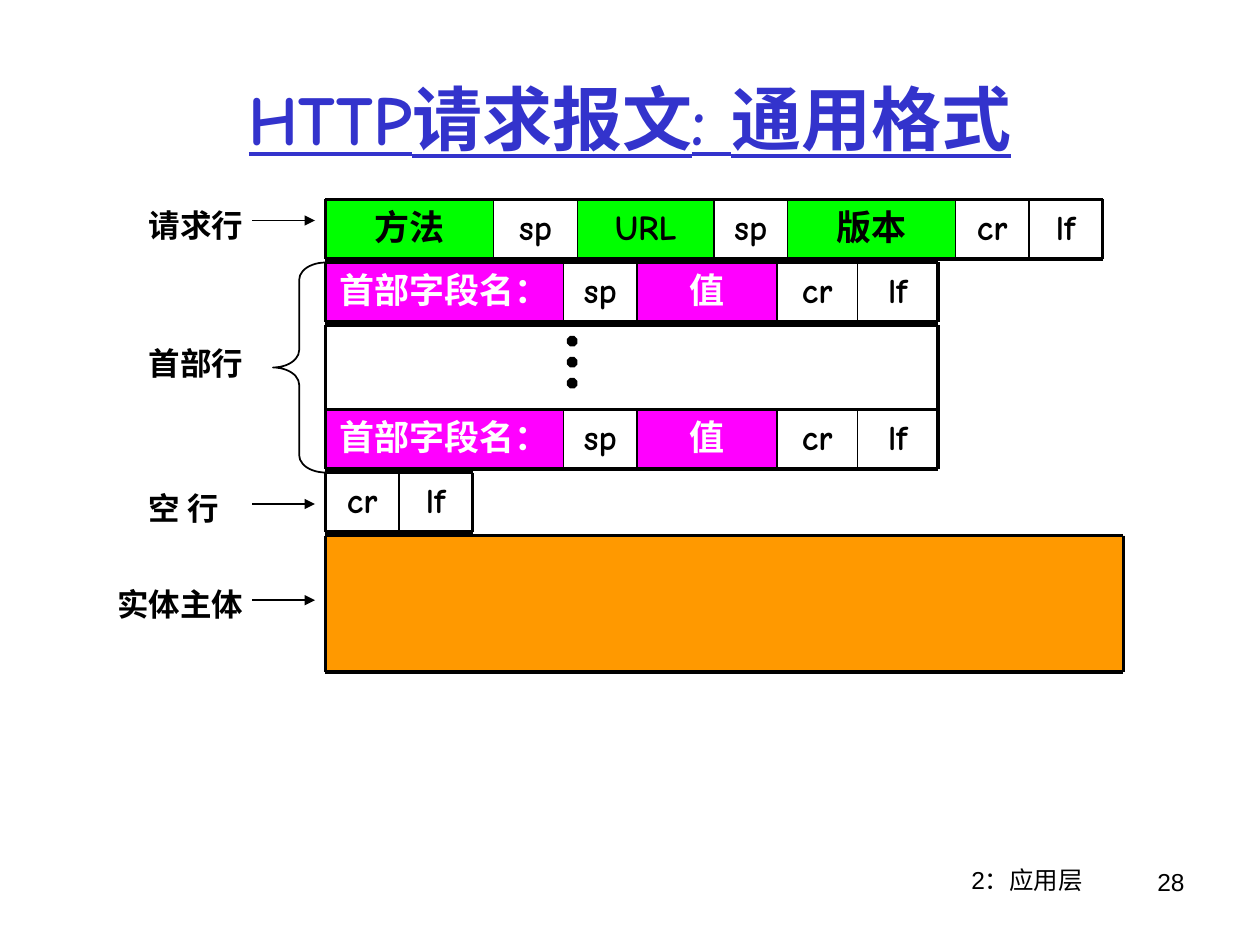
from dataclasses import dataclass
from itertools import accumulate

from lxml import etree
from pptx import Presentation
from pptx.dml.color import RGBColor
from pptx.enum.shapes import MSO_CONNECTOR, MSO_SHAPE
from pptx.enum.text import MSO_ANCHOR, PP_ALIGN
from pptx.oxml.ns import qn
from pptx.util import Pt

STRAIGHT = MSO_CONNECTOR.STRAIGHT
RECTANGLE, OCTAGON, LEFT_BRACE = MSO_SHAPE.RECTANGLE, MSO_SHAPE.OCTAGON, MSO_SHAPE.LEFT_BRACE
LEFT, CENTER, RIGHT = PP_ALIGN.LEFT, PP_ALIGN.CENTER, PP_ALIGN.RIGHT
TOP, MIDDLE = MSO_ANCHOR.TOP, MSO_ANCHOR.MIDDLE


@dataclass(frozen=True)
class Theme:
    heading: RGBColor = RGBColor(0x33, 0x33, 0xCC)
    black: RGBColor = RGBColor(0, 0, 0)
    white: RGBColor = RGBColor(255, 255, 255)
    green: RGBColor = RGBColor(0, 255, 0)
    magenta: RGBColor = RGBColor(255, 0, 255)
    orange: RGBColor = RGBColor(255, 0x99, 0)
    display_font: str = "Comic Neue"
    footer_font: str = "Arial"
    title_size: int = 40
    cell_size: int = 20
    label_size: int = 18
    footer_size: int = 14
    border: int = 2
    divider: int = 1


THEME = Theme()
TITLE = dict(name=THEME.display_font, size=Pt(THEME.title_size), bold=True, underline=True)
CELL = dict(name=THEME.display_font, size=Pt(THEME.cell_size), bold=True)
LABEL = dict(name=THEME.display_font, size=Pt(THEME.label_size), bold=True)
FOOTER = dict(name=THEME.footer_font, size=Pt(THEME.footer_size))

MESSAGE_LEFT, MESSAGE_TOP = 186, 114
ROW_HEIGHT, ROW_PITCH = 34, 36
LABEL_RIGHT, LABEL_HEIGHT = 150, 29

# Each cell: width, text, fill, text colour
CR_LF = [(42, "cr", THEME.white, THEME.black), (42, "lf", THEME.white, THEME.black)]
REQUEST_LINE = [
    (96, "方法", THEME.green, THEME.black),
    (48, "sp", THEME.white, THEME.black),
    (78, "URL", THEME.green, THEME.black),
    (42, "sp", THEME.white, THEME.black),
    (96, "版本", THEME.green, THEME.black),
    *CR_LF,
]
HEADER_LINE = [
    (136, "首部字段名：", THEME.magenta, THEME.white),
    (42, "sp", THEME.white, THEME.black),
    (80, "值", THEME.magenta, THEME.white),
    (46, "cr", THEME.white, THEME.black),
    (46, "lf", THEME.white, THEME.black),
]
MORE_HEADERS = [(350, "", THEME.white, THEME.black)]
ENTITY_BODY = [(456, "", THEME.orange, THEME.black)]

# Each label: text, width, top, whether an arrow follows
LABELS = [
    ("请求行", 72, 114, True),
    ("首部行", 72, 193, False),
    ("空 行", 72, 276, True),
    ("实体主体", 90, 331, True),
]


def points(*values):
    return [Pt(value) for value in values]


def write(shape, text, font, color, align, anchor=TOP):
    frame = shape.text_frame
    frame.word_wrap = True
    frame.vertical_anchor = anchor
    paragraph = frame.paragraphs[0]
    paragraph.alignment = align
    run = paragraph.add_run()
    run.text = text
    for name, value in font.items():
        setattr(run.font, name, value)
    run.font.color.rgb = color


def add_filled(shapes, kind, box, fill):
    shape = shapes.add_shape(kind, *points(*box))
    shape.shadow.inherit = False
    shape.fill.solid()
    shape.fill.fore_color.rgb = fill
    shape.line.fill.background()
    return shape


def add_line(shapes, start, end, width, arrow=False):
    connector = shapes.add_connector(STRAIGHT, *points(*start, *end))
    connector.line.color.rgb = THEME.black
    connector.line.width = Pt(width)
    if arrow:
        etree.SubElement(connector.line._get_or_add_ln(), qn("a:tailEnd"), type="triangle")
    etree.SubElement(connector._element.spPr, qn("a:effectLst"))


def add_row(slide, left, top, height, cells):
    """Draw filled cells side by side, with thin dividers and a thick border."""
    shapes = slide.shapes.add_group_shape().shapes
    edges = list(accumulate((cell[0] for cell in cells), initial=left))
    for edge, (width, text, fill, color) in zip(edges, cells):
        shape = add_filled(shapes, RECTANGLE, (edge, top, width, height), fill)
        if text:
            write(shape, text, CELL, color, CENTER)
    right, bottom = edges[-1], top + height
    for edge in edges:
        width = THEME.border if edge in (left, right) else THEME.divider
        add_line(shapes, (edge, top), (edge, bottom), width)
    for y in (top, bottom):
        add_line(shapes, (left, y), (right, y), THEME.border)


def add_message(slide, left, top):
    rows = [
        (0, ROW_HEIGHT, REQUEST_LINE),
        (ROW_PITCH, ROW_HEIGHT, HEADER_LINE),
        (2 * ROW_PITCH, 48, MORE_HEADERS),
        (120, ROW_HEIGHT, HEADER_LINE),
        (120 + ROW_PITCH, ROW_HEIGHT, CR_LF),
        (120 + 2 * ROW_PITCH, 78, ENTITY_BODY),
    ]
    for offset, height, cells in rows:
        add_row(slide, left, top + offset, height, cells)
    for index in range(3):
        dot = (left + 138, top + 78 + 12 * index, 6, 6)
        add_filled(slide.shapes, OCTAGON, dot, THEME.black)

    brace_box = (left - 30, top + ROW_PITCH, 30, 120)
    brace = slide.shapes.add_shape(LEFT_BRACE, *points(*brace_box))
    brace.shadow.inherit = False
    brace.adjustments[0] = 0.33
    brace.fill.background()
    brace.line.color.rgb = THEME.black
    brace.line.width = Pt(THEME.divider)


def add_text(slide, box, text, font, align):
    text_box = slide.shapes.add_textbox(*points(*box))
    write(text_box, text, font, THEME.black, align)


def add_labels(slide, right):
    for text, width, top, has_arrow in LABELS:
        add_text(slide, (right - width, top, width, LABEL_HEIGHT), text, LABEL, LEFT)
        if has_arrow:
            y = top + 12
            add_line(slide.shapes, (right - 6, y), (right + 30, y), THEME.divider, arrow=True)


def add_title(slide, left, top, width, height):
    title = slide.shapes.title
    title.left, title.top, title.width, title.height = points(left, top, width, height)
    write(title, "HTTP请求报文: 通用格式", TITLE, THEME.heading, CENTER, MIDDLE)


def add_footer(slide, left, top):
    add_text(slide, (left, top, 228, 37), "2：应用层", FOOTER, CENTER)
    add_text(slide, (left + 148, top + 1, 63, 37), "28", FOOTER, RIGHT)


def main():
    presentation = Presentation()
    presentation.slide_width, presentation.slide_height = points(720, 540)
    slide = presentation.slides.add_slide(presentation.slide_layouts[5])
    add_footer(slide, 473, 491)
    add_title(slide, 36, 22, 648, 90)
    add_message(slide, MESSAGE_LEFT, MESSAGE_TOP)
    add_labels(slide, LABEL_RIGHT)
    presentation.save("out.pptx")


if __name__ == "__main__":
    main()
